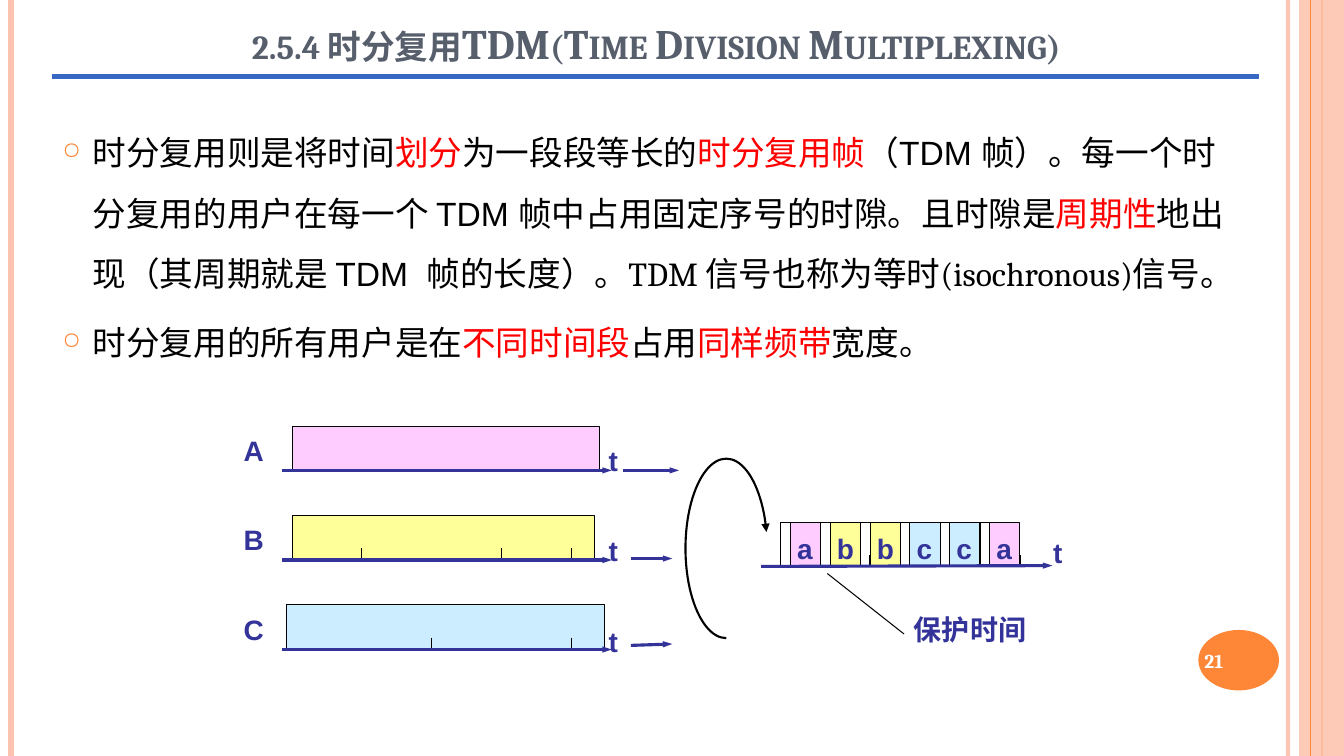
"""Builds the slide on time division multiplexing (TDM)."""
from lxml import etree
from pptx import Presentation
from pptx.dml.color import RGBColor
from pptx.enum.shapes import MSO_CONNECTOR, MSO_SHAPE
from pptx.enum.text import MSO_ANCHOR, MSO_AUTO_SIZE, PP_ALIGN
from pptx.oxml.ns import qn
from pptx.util import Pt

STRAIGHT = MSO_CONNECTOR.STRAIGHT
RECT, OVAL, ARC = MSO_SHAPE.RECTANGLE, MSO_SHAPE.OVAL, MSO_SHAPE.ARC
TOP, MIDDLE, BOTTOM = MSO_ANCHOR.TOP, MSO_ANCHOR.MIDDLE, MSO_ANCHOR.BOTTOM
LEFT, CENTER = PP_ALIGN.LEFT, PP_ALIGN.CENTER
GROW = MSO_AUTO_SIZE.SHAPE_TO_FIT_TEXT

BLACK = RGBColor(0x00, 0x00, 0x00)
WHITE = RGBColor(0xFF, 0xFF, 0xFF)
RED = RGBColor(0xFF, 0x00, 0x00)
NAVY = RGBColor(0x33, 0x33, 0x99)
BLUE = RGBColor(0x36, 0x68, 0xC4)
SLATE = RGBColor(0x57, 0x5F, 0x6D)
ORANGE = RGBColor(0xFE, 0x86, 0x37)
PEACH = RGBColor(0xFE, 0xC3, 0xAE)
PINK = RGBColor(0xFF, 0xCC, 0xFF)
YELLOW = RGBColor(0xFF, 0xFF, 0x99)
SKY = RGBColor(0xCC, 0xEC, 0xFF)

TITLE = "2.5.4 时分复用TDM(Time Division Multiplexing)"
PAGE = "21"
BODY = [
    [("时分复用则是将时间", BLACK, "Arial"), ("划分", RED, "Arial"),
     ("为一段段等长的", BLACK, "Arial"), ("时分复用帧", RED, "Arial"),
     ("（TDM 帧）。每一个时分复用的用户在每一个 TDM 帧中占用固定序号的时隙。且时隙是", BLACK, "Arial"),
     ("周期性", RED, "Arial"), ("地出现（其周期就是 TDM  帧的长度）。", BLACK, "Arial"),
     ("TDM 信号也称为等时(isochronous)信号。", BLACK, "Cambria")],
    [("时分复用的所有用户是在", BLACK, "Cambria"), ("不同时间段", RED, "Cambria"),
     ("占用", BLACK, "Cambria"), ("同样频带", RED, "Cambria"),
     ("宽度。", BLACK, "Cambria")],
]
# name, fill, left, right, tick numbers, arrow (x1, y1, x2, y2)
USERS = [
    ("A", PINK, 209, 428, (), (445, 336, 485, 336)),
    ("B", YELLOW, 209, 424.5, (0, 2, 3), (450.7, 399, 480.2, 399)),
    ("C", SKY, 205, 432, (1, 3), (450.7, 461, 480.2, 460)),
]
SLOTS = [("a", PINK), ("b", YELLOW), ("b", YELLOW), ("c", SKY), ("c", SKY), ("a", PINK)]
SLOT_TICKS = (621.4, 643, 728.6)
GUARD = "保护时间"
STRIPES = [(920, PEACH, 3, 93), (8, PEACH, 4.5, 100), (944, ORANGE, 1.5, 100)]

prs = Presentation()
prs.slide_width, prs.slide_height = Pt(960), Pt(540)
s = prs.slides.add_slide(prs.slide_layouts[6])


def fade(fill_parent, percent):
    clr = fill_parent.find(".//" + qn("a:srgbClr"))
    etree.SubElement(clr, qn("a:alpha"), val=str(percent * 1000))


def arrowhead(sp, width):
    etree.SubElement(sp.line._get_or_add_ln(), qn("a:tailEnd"), type="triangle", w=width, len="med")


def line(x1, y1, x2, y2, color=BLACK, width=0.75, arrow=False):
    c = s.shapes.add_connector(STRAIGHT, Pt(x1), Pt(y1), Pt(x2), Pt(y2))
    c.line.color.rgb, c.line.width = color, Pt(width)
    if arrow:
        arrowhead(c, "sm")
    etree.SubElement(c._element.spPr, qn("a:effectLst"))
    return c


def shape(kind, x, y, w, h, color):
    sp = s.shapes.add_shape(kind, Pt(x), Pt(y), Pt(w), Pt(h))
    sp.shadow.inherit = False
    sp.fill.solid()
    sp.fill.fore_color.rgb = color
    sp.line.fill.background()
    return sp


def open_box(x1, x2, top, base, color=None):
    fb = s.shapes.build_freeform(Pt(x1), Pt(base))
    fb.add_line_segments([(Pt(x1), Pt(top)), (Pt(x2), Pt(top)), (Pt(x2), Pt(base))], close=False)
    sp = fb.convert_to_shape()
    sp.shadow.inherit = False
    if color is None:
        sp.fill.background()
    else:
        sp.fill.solid()
        sp.fill.fore_color.rgb = color
    sp.line.color.rgb, sp.line.width = BLACK, Pt(0.75)


def textbox(x, y, w, h, anchor=TOP, wrap=True):
    tf = s.shapes.add_textbox(Pt(x), Pt(y), Pt(w), Pt(h)).text_frame
    tf.word_wrap, tf.vertical_anchor = wrap, anchor
    return tf


def add_run(p, text, size, color, font, bold=False):
    r = p.add_run()
    r.text = text
    r.font.size, r.font.name, r.font.bold = Pt(size), font, bold
    r.font.color.rgb = color
    return r


def label(text, x, y, w):
    tf = textbox(x, y, w, 36, wrap=False)
    tf.auto_size = GROW
    p = tf.paragraphs[0]
    p.line_spacing = 1.2
    add_run(p, text, 20, NAVY, "Arial", True)


def bullet(p):
    pPr = p._p.get_or_add_pPr()
    pPr.set("marL", str(Pt(21.6)))
    pPr.set("indent", str(-Pt(21.6)))
    clr = etree.SubElement(pPr, qn("a:buClr"))
    etree.SubElement(clr, qn("a:srgbClr"), val=str(ORANGE))
    etree.SubElement(pPr, qn("a:buSzPct"), val="70000")
    etree.SubElement(pPr, qn("a:buChar"), char="○")


for x, color, width, alpha in STRIPES:
    stripe = line(x, 0, x, 540, color, width)
    if alpha < 100:
        fade(stripe.line._get_or_add_ln(), alpha)
fade(shape(RECT, 928, 0, 32, 540, PEACH)._element.spPr, 87)
line(936, 0, 936, 540, ORANGE)
shape(OVAL, 856, 450, 57.6, 43.2, ORANGE)
p = textbox(853.2, 451.4, 64, 41, MIDDLE).paragraphs[0]
add_run(p, PAGE, 14, WHITE, "Cambria", True)

line(37.5, 54.7, 899.3, 54.7, BLUE, 3.5)
p = textbox(15.1, -11.5, 907.2, 63.4, BOTTOM).paragraphs[0]
p.alignment = CENTER
r = add_run(p, TITLE, 30, SLATE, "Cambria", True)
r.font._element.set("cap", "small")

tf = textbox(37.5, 76.3, 862, 192)
for i, runs in enumerate(BODY):
    p = tf.add_paragraph() if i else tf.paragraphs[0]
    p.alignment, p.line_spacing, p.space_before = LEFT, 1.5, Pt(6)
    bullet(p)
    for text, color, font in runs:
        add_run(p, text, 24, color, font)

for i, (name, color, left, right, ticks, arrow) in enumerate(USERS):
    top, axis = 304.5 + 63.75 * i, 336 + 64 * i
    open_box(left, right, top, top + 31.7, color)
    label(name, 167, top - 3, 29.5)
    label("t", 427.7, 308.2 + 64.8 * i, 21)
    for k in ticks:
        x = 258.5 + 49.9 * k
        line(x, axis - 8.5, x, axis)
    line(*arrow, NAVY, 2.25, True)
    line(201.6, axis, 437, axis, NAVY, 2.25, True)

SLOT_TOP, SLOT_BASE, PITCH, GAP = 373, 404.6, 28.45, 6.8
for i, (name, color) in enumerate(SLOTS):
    x = 557.8 + PITCH * i
    open_box(x, x + GAP, SLOT_TOP, SLOT_BASE)
    open_box(x + GAP, x + PITCH, SLOT_TOP, SLOT_BASE, color)
    label(name, x + 4.5, 371.5, 26)
for x in SLOT_TICKS:
    line(x, SLOT_BASE - 8, x, SLOT_BASE)
line(543.6, SLOT_BASE, 751.7, 404, NAVY, 2.25, True)
label("t", 745.2, 374.4, 21)
line(591, 409.7, 645.8, 452.9)
label(GUARD, 645.8, 429, 95.8)

arc = shape(ARC, 489.6, 327.6, 58.3, 128.2, WHITE)
arc.fill.background()
arc.adjustments[0], arc.adjustments[1] = 162, 94.68
arc.rotation = 180
arc.line.color.rgb, arc.line.width = BLACK, Pt(1.5)
arrowhead(arc, "med")

prs.save("out.pptx")
